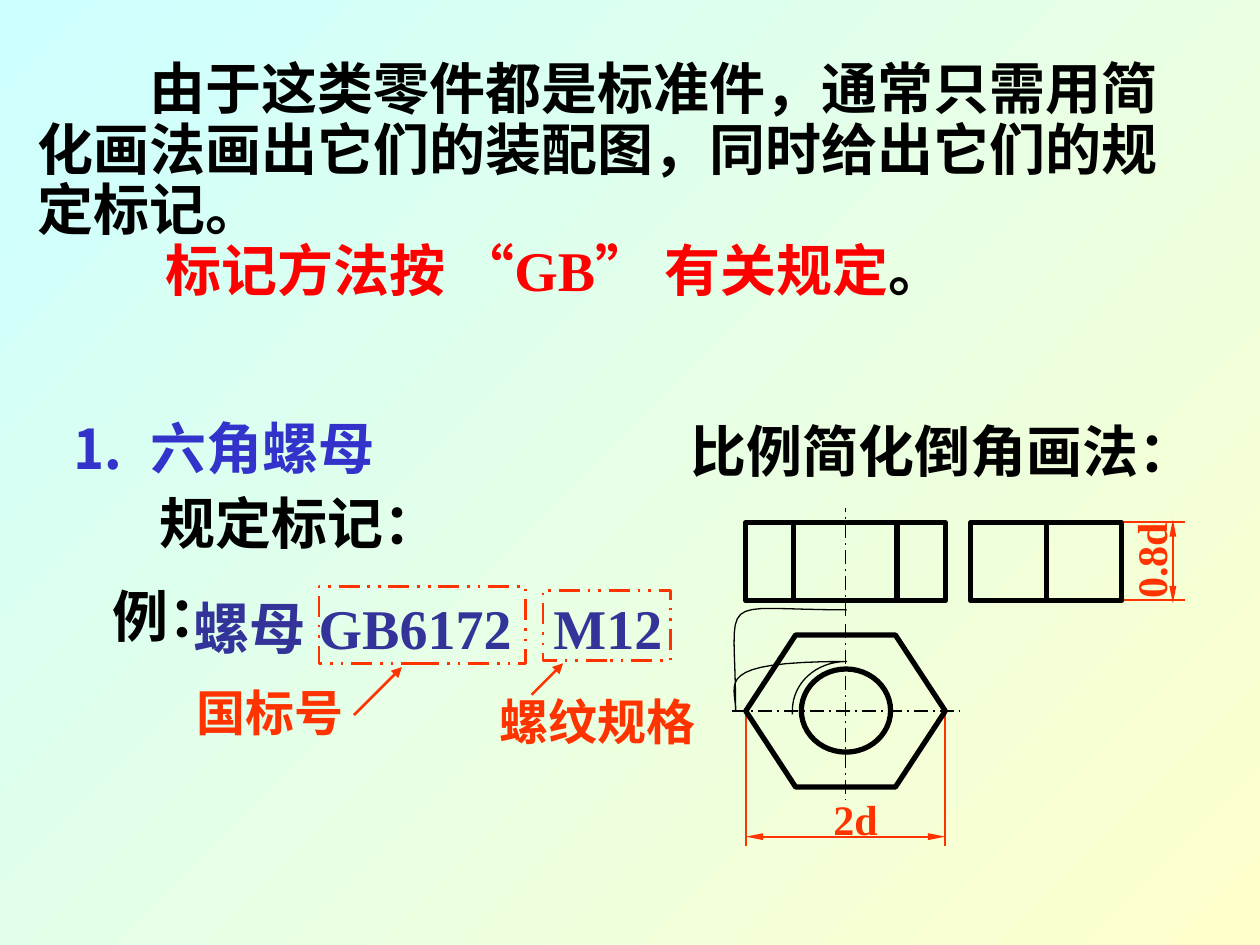
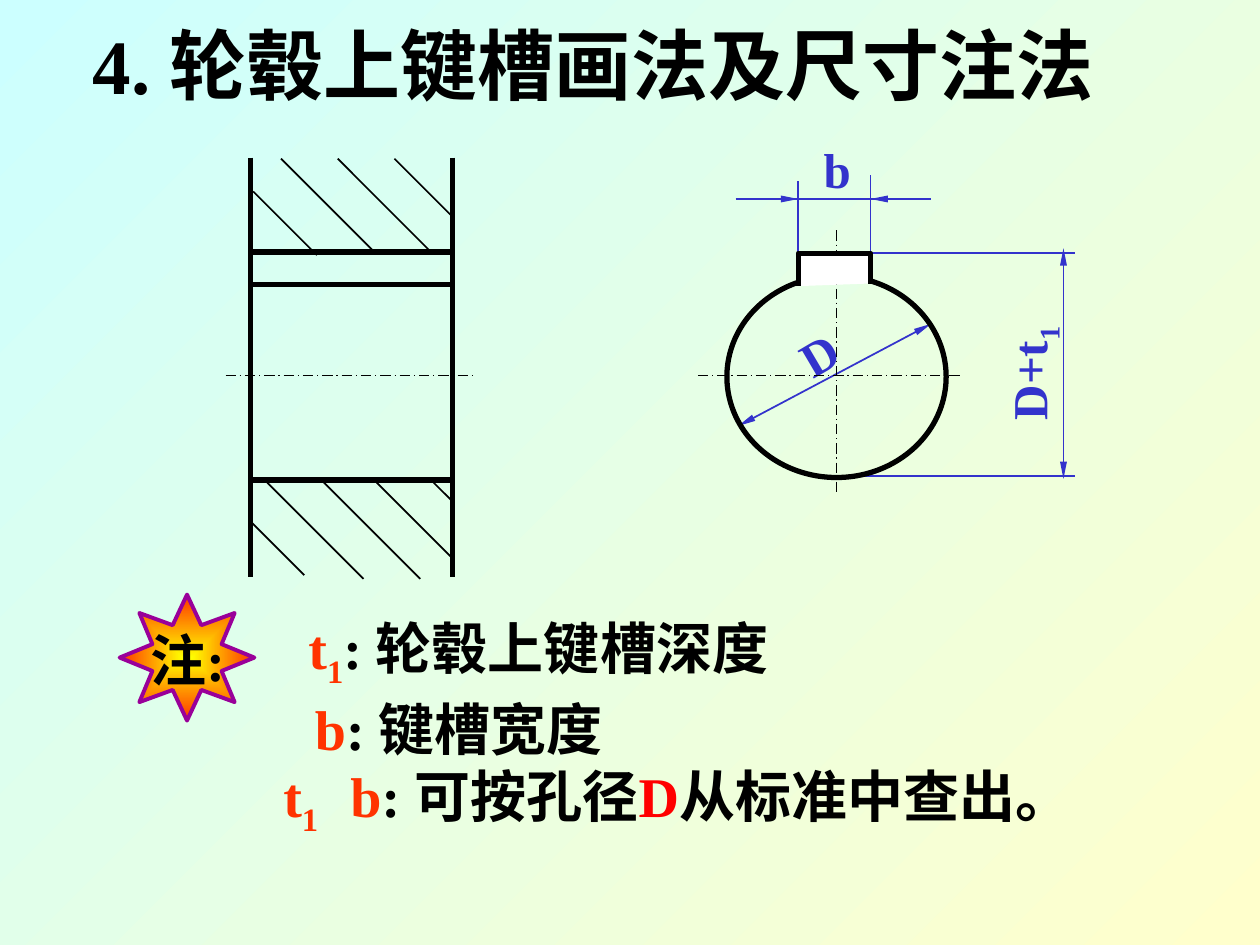
from dataclasses import dataclass
from typing import Any

from lxml.etree import SubElement
from pptx import Presentation
from pptx.dml.color import RGBColor
from pptx.enum.dml import MSO_LINE as DASH
from pptx.enum.lang import MSO_LANGUAGE_ID as LANGUAGE
from pptx.enum.shapes import MSO_CONNECTOR, MSO_SHAPE as SHAPE
from pptx.enum.text import MSO_ANCHOR, MSO_AUTO_SIZE, PP_ALIGN as ALIGN
from pptx.oxml.ns import qn
from pptx.util import Pt

COLORS = {
    "sky": "CCFFFF", "cream": "FFFFCC", "black": "000000", "white": "FFFFFF",
    "blue": "3333CC", "navy": "333399", "orange": "FF3300", "red": "FF0000",
    "yellow": "FFFF00", "purple": "990099",
}
FONT = "Times New Roman"
OUTLINE = 3
CENTRE_DASH = DASH.LONG_DASH_DOT


def rgb(name):
    return RGBColor.from_string(COLORS[name])


def set_gradient(fill, first, last):
    fill.gradient()
    for stop, name, position in zip(fill.gradient_stops, (first, last), (0, 1)):
        stop.color.rgb = rgb(name)
        stop.position = position


def set_line(line, color, width, dash=None):
    line.color.rgb = rgb(color)
    line.width = Pt(width)
    if dash:
        line.dash_style = dash


def add_runs(paragraph, runs, size):
    """Each run is (text, colour) or (text, colour, True) for a subscript."""
    for text, color, *subscript in runs:
        run = paragraph.add_run()
        run.text = text
        font = run.font
        font.name, font.size, font.bold = FONT, Pt(size), True
        font.color.rgb = rgb(color)
        font.language_id = LANGUAGE.SIMPLIFIED_CHINESE
        if subscript:
            run._r.get_or_add_rPr().set("baseline", "-25000")


@dataclass
class Region:
    """A part of a slide; all positions are points from its left and top."""
    slide: Any
    left: float
    top: float

    def point(self, x, y):
        return Pt(self.left + x), Pt(self.top + y)

    def text(self, box, paragraphs, size=32, align=ALIGN.CENTER, wrap=False,
             rotation=0, tab=None):
        x, y, width, height = box
        shape = self.slide.shapes.add_textbox(*self.point(x, y), Pt(width), Pt(height))
        shape.rotation = rotation
        frame = shape.text_frame
        frame.word_wrap = wrap
        frame.auto_size = MSO_AUTO_SIZE.SHAPE_TO_FIT_TEXT
        frame.vertical_anchor = MSO_ANCHOR.MIDDLE
        for index, runs in enumerate(paragraphs):
            paragraph = frame.add_paragraph() if index else frame.paragraphs[0]
            paragraph.alignment = align
            if tab:
                tabs = SubElement(paragraph._p.get_or_add_pPr(), qn("a:tabLst"))
                SubElement(tabs, qn("a:tab"), pos=str(Pt(tab)), algn="l")
            add_runs(paragraph, runs, size)
        return frame

    def line(self, start, end, color="black", width=1, dash=None, arrows=(), slim=True):
        """Arrows lists the ends, "head" or "tail", that carry an arrowhead."""
        connector = self.slide.shapes.add_connector(
            MSO_CONNECTOR.STRAIGHT, *self.point(*start), *self.point(*end))
        set_line(connector.line, color, width, dash)
        properties = connector._element.spPr
        across, along = ("sm", "lg") if slim else ("med", "med")
        for end_name in arrows:
            SubElement(properties.find(qn("a:ln")), qn(f"a:{end_name}End"),
                       type="triangle", w=across, len=along)
        SubElement(properties, qn("a:effectLst"))
        return connector

    def dimension(self, start, end, color):
        self.line(start, end, color, arrows=("head", "tail"))

    def shape(self, kind, box, color="black", width=OUTLINE, dash=None):
        x, y, box_width, height = box
        shape = self.slide.shapes.add_shape(
            kind, *self.point(x, y), Pt(box_width), Pt(height))
        shape.shadow.inherit = False
        shape.fill.background()
        set_line(shape.line, color, width, dash)
        return shape

    def open_outline(self, points, width):
        builder = self.slide.shapes.build_freeform(*self.point(*points[0]))
        builder.add_line_segments([self.point(*p) for p in points[1:]], close=False)
        shape = builder.convert_to_shape()
        shape.shadow.inherit = False
        shape.fill.background()
        set_line(shape.line, "black", width)
        return shape


def add_slide(presentation):
    slide = presentation.slides.add_slide(presentation.slide_layouts[6])
    fill = slide.background.fill
    set_gradient(fill, "sky", "cream")
    fill.gradient_angle = 315
    return slide


def bezier(start, control_1, control_2, end, steps=16):
    """Points after the start along a cubic curve."""
    for step in range(1, steps + 1):
        t = step / steps
        weights = ((1 - t) ** 3, 3 * t * (1 - t) ** 2, 3 * t * t * (1 - t), t ** 3)
        yield tuple(sum(w * p[axis] for w, p in zip(
            weights, (start, control_1, control_2, end))) for axis in (0, 1))


def draw_introduction(region):
    frame = region.text((0, 0, 673, 145), [
        [("由于这类零件都是标准件，通常只需用简化画法画出它们的装配图，"
          "同时给出它们的规定标记。", "black")],
        [("标记方法按 “GB” 有关规定", "red"), ("。", "black")],
    ], align=ALIGN.LEFT, wrap=True)
    for paragraph, indent in zip(frame.paragraphs, (64, 73)):
        paragraph.line_spacing = 0.9
        paragraph._p.get_or_add_pPr().set("indent", str(Pt(indent)))


def draw_marking(region):
    region.text((0, 0, 235, 46), [[("⒈\t六角螺母", "blue")]],
                align=ALIGN.LEFT, wrap=True, tab=46)
    region.text((35, 43, 174, 46), [[("规定标记：", "black")]])
    region.text((70.7, 102.5, 310, 46), [[("螺母 GB6172\tM12", "navy")]],
                align=ALIGN.LEFT, wrap=True, tab=205.5)
    region.text((24, 96, 78.5, 46), [[("例：", "black")]])
    callouts = (
        ((149.2, 102.5, 118, 44), "国标号", (65, 153.6, 113, 41),
         (169.3, 176), (196.7, 148.6)),
        ((277.3, 104.7, 72.7, 40.3), "螺纹规格", (245.6, 158.7, 126, 41),
         (270.8, 164.4), (288.8, 146.4)),
    )
    for frame_box, name, name_box, start, end in callouts:
        region.shape(SHAPE.RECTANGLE, frame_box, "orange", 1.5, DASH.DASH_DOT_DOT)
        region.text(name_box, [[(name, "orange")]], 28)
        region.line(start, end, "orange", 1.5, arrows=("tail",), slim=False)


def draw_nut(region):
    width, thickness, middle, centre = 114, 44.5, 57, 107.3
    region.text((-54.7, -64.8, 302.4, 46), [[("比例简化倒角画法：", "black")]])

    region.shape(SHAPE.RECTANGLE, (0, 0, width, thickness))
    for x in (27.4, 86.4):
        region.line((x, thickness), (x, 0), width=OUTLINE)
    region.line((middle, 53.3), (middle, -8.6), dash=CENTRE_DASH)

    side = region.shape(SHAPE.RECTANGLE, (128.5, 0, 86.4, thickness))
    divider = region.line((171.7, 0), (171.7, thickness), width=OUTLINE)
    divider.begin_connect(side, 0)
    divider.end_connect(side, 2)
    for y in (-0.5, thickness - 0.5):
        region.line((216, y), (251, y), "orange")
    region.dimension((244, -2), (244, 46), "orange")
    region.text((202.3, 3.6, 57.6, 36), [[("0.8d", "orange")]], 24, rotation=270)

    for x in (0, width):
        region.line((x, 109), (x, 184.6), "orange")
    region.dimension((0, 179.3), (width, 179.3), "orange")
    region.text((38.2, 151.2, 49, 36), [[("2d", "orange")]], 24)
    region.shape(SHAPE.OVAL, (31.7, 83.5, 51, 47.5))
    hexagon = region.shape(SHAPE.HEXAGON, (0, 64, width, 87))
    hexagon.adjustments[0] = 0.328
    region.line((-8, centre), (122, centre), dash=CENTRE_DASH)
    region.line((middle, 57.6), (middle, 158.4), dash=CENTRE_DASH)

    arc = [(26.6, 109.4), (26.6, centre)]
    for curve in (((26.6, 91.4), (40.3, 79.2), (57.6, 79.2)),
                  ((-19.4, 79.2), (-5.8, 91.4), (-5.8, centre)),
                  ((-5.8, 37.4), (-19.4, 49.7), (57.6, 49.7))):
        arc.extend(bezier(arc[-1], *curve))
    region.open_outline(arc, 0.75)


def draw_hub_section(region):
    width, height = 115.2, 239.8
    for x in (0, width):
        region.line((x, 0), (x, height), width=OUTLINE)
    hatches = ((1.4, 19.4, 36.4), (17.3, 0.7, 53.3), (49.7, 0.7, 53.3),
               (82.1, 0.7, 33.1), (103, 184.3, 11.2), (72, 185.8, 42.1),
               (40.3, 184.3, 56.5), (9.4, 185.8, 55), (0, 208.1, 30.6))
    for x, y, length in hatches:
        region.line((x, y), (x + length, y + length))
    region.line((-14.4, 124.6), (128.2, 124.6), width=0.75, dash=CENTRE_DASH)
    for y in (54, 72.7, 184.3):
        region.line((-0.7, y), (width, y), width=OUTLINE)


def draw_hub_end(region):
    slot_left, slot_right, slot_top = 40.7, 82.1, -13
    for x, top in ((slot_left, -54), (slot_right, -57.6)):
        region.line((x, -11.5), (x, top), "blue")
    region.line((5, -44), (116.6, -44), "blue")
    for x, tip in ((29.5, slot_left), (98.6, slot_right)):
        region.line((x, -44), (tip, -44), "blue", arrows=("tail",))
    region.text((48.2, -81.4, 29.5, 41), [[("b", "blue")]], 28)

    region.dimension((6.5, 85.7), (116.6, 27.4), "blue")
    region.text((35.3, 23.8, 34.6, 41), [[("D", "blue")]], 28, rotation=329.5)

    for x, y in ((64, 114.5), (80.6, slot_top)):
        region.line((x, y), (198.7, y), "blue")
    region.dimension((192.3, -15.8), (192.3, 116), "blue")
    region.text((140.4, 33, 67.7, 45.4), [[("D+t", "blue"), ("1", "blue", True)]],
                28, rotation=270)

    region.shape(SHAPE.OVAL, (0, 0, 125.3, 115.2))
    region.line((62.6, -26), (62.6, 124.6), width=0.75, dash=CENTRE_DASH)
    region.line((-16.6, 57), (134.6, 57), width=0.75, dash=CENTRE_DASH)
    slot = region.open_outline([(slot_left, 5.8), (slot_left, slot_top),
                                (slot_right, slot_top), (slot_right, 4.3)], OUTLINE)
    slot.fill.solid()
    slot.fill.fore_color.rgb = rgb("white")


def draw_notes(region):
    star = region.shape(SHAPE.STAR_8_POINT, (0, 0, 77, 72), "purple", 2.25)
    star.adjustments[0] = 0.278
    set_gradient(star.fill, "yellow", "orange")
    gradient = star._element.spPr.find(qn("a:gradFill"))
    gradient.remove(gradient.find(qn("a:lin")))
    glow = SubElement(gradient, qn("a:path"), path="rect")
    SubElement(glow, qn("a:fillToRect"), l="50000", t="50000", r="50000", b="50000")
    region.text((6.5, 13.7, 64.8, 46), [[("注:", "black")]])

    notes = (
        ((100.8, 7.2, 285, 51),
         [("t", "orange"), ("1", "orange", True), (": 轮毂上键槽深度", "black")]),
        ((104.4, 53.3, 312, 46), [("b", "orange"), (": 键槽宽度", "black")]),
        ((86.4, 91.5, 503, 51),
         [("t", "orange"), ("1　", "orange", True), ("b", "orange"),
          (": 可按孔径", "black"), ("D", "red"), ("从标准中查出。", "black")]),
    )
    for box, runs in notes:
        region.text(box, [runs], align=ALIGN.LEFT)


def main():
    presentation = Presentation()
    presentation.slide_width, presentation.slide_height = Pt(720), Pt(540)

    nut_slide = add_slide(presentation)
    draw_marking(Region(nut_slide, 33, 232.6))
    draw_nut(Region(nut_slide, 426.2, 298.8))
    draw_introduction(Region(nut_slide, 14.4, 31.7))

    keyway_slide = add_slide(presentation)
    Region(keyway_slide, 26, -4.3).text(
        (0, 0, 626.4, 81.4), [[("4. 轮毂上键槽画法及尺寸注法", "black")]], 44, wrap=True)
    draw_hub_section(Region(keyway_slide, 143.3, 90))
    draw_hub_end(Region(keyway_slide, 415.4, 157.7))
    draw_notes(Region(keyway_slide, 68.4, 339.8))

    presentation.save("out.pptx")


if __name__ == "__main__":
    main()
